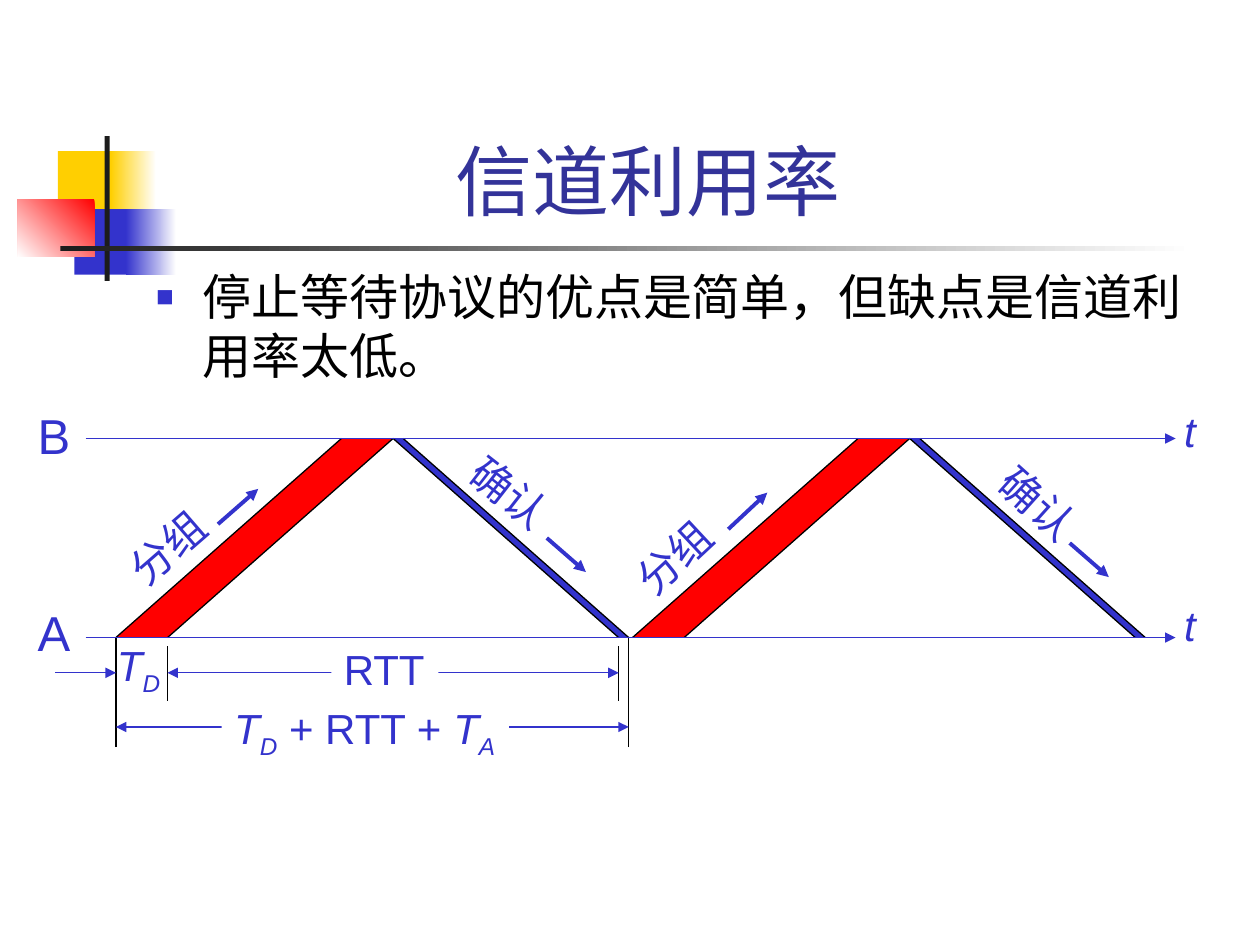
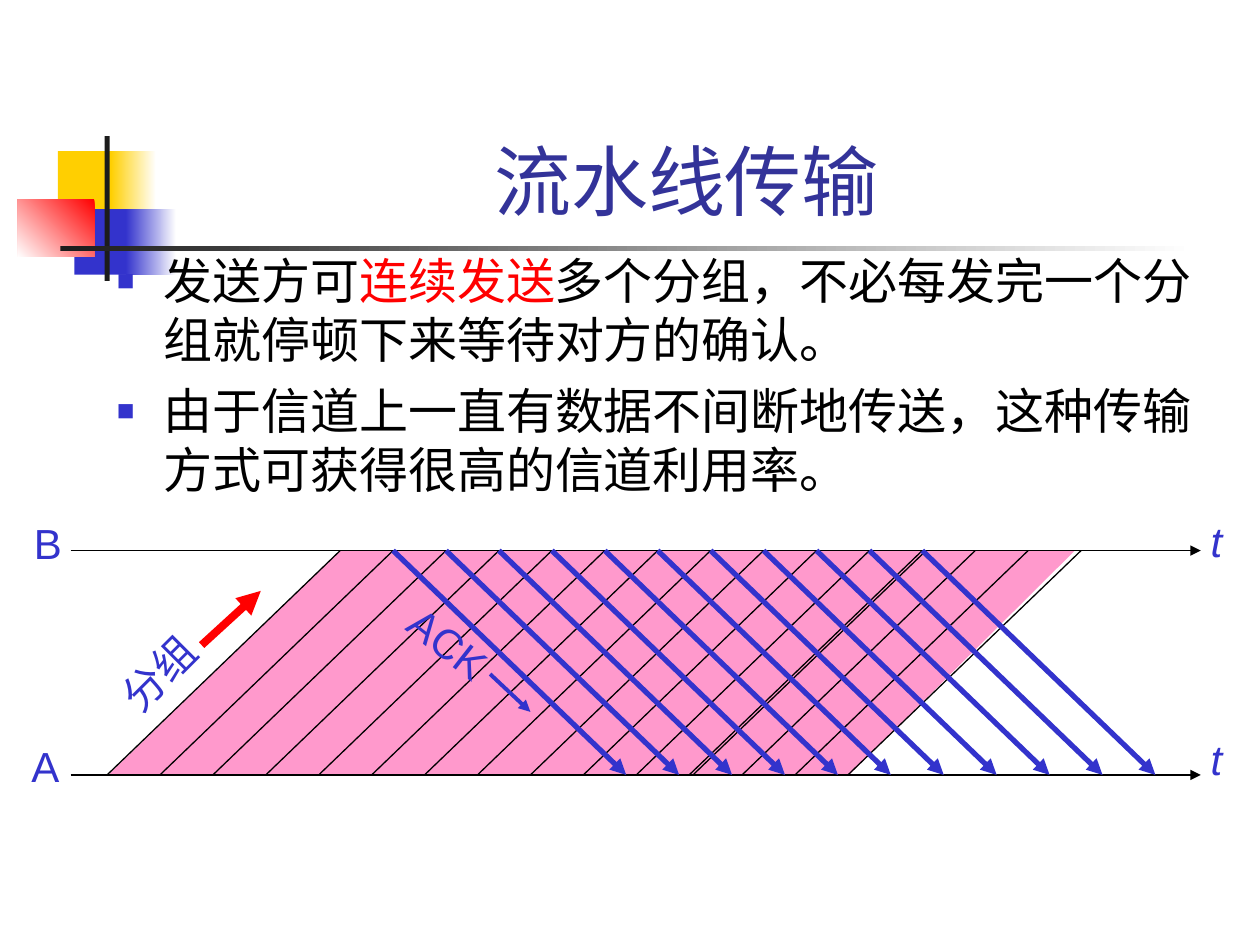
"""Build two slides on stop-and-wait channel utilisation and pipelined transmission."""
from lxml.etree import SubElement
from pptx import Presentation
from pptx.dml.color import RGBColor
from pptx.enum.shapes import MSO_CONNECTOR, MSO_SHAPE
from pptx.enum.text import MSO_ANCHOR, MSO_AUTO_SIZE, PP_ALIGN
from pptx.oxml.ns import qn
from pptx.util import Inches, Pt

FONT = "Arial"
BLUE, NAVY, RED, PINK = "3333CC", "333399", "FF0000", "FF99CC"
BLACK, WHITE, YELLOW, DARK = "000000", "FFFFFF", "FFCF01", "1C1C1C"
TITLE_ONLY = 5


def rgb(value):
    return RGBColor.from_string(value)


def add_run(p, text, size=24, color=BLUE, italic=False, sub=False):
    r = p.add_run()
    r.text = text
    r.font.name = FONT
    r.font.size = Pt(size)
    r.font.italic = italic
    r.font.color.rgb = rgb(color)
    if sub:
        r._r.get_or_add_rPr().set("baseline", "-25000")


class Deck:
    def __init__(self):
        self.prs = Presentation()
        self.prs.slide_width, self.prs.slide_height = Inches(10), Inches(7.5)
        self.s = None

    def add_slide(self, title, width):
        self.s = self.prs.slides.add_slide(self.prs.slide_layouts[TITLE_ONLY])
        sp = self.s.shapes.title
        sp.left, sp.top, sp.width, sp.height = (
            Inches(v) for v in (1.19, 0.24, width, 1.6))
        tf = sp.text_frame
        tf.auto_size = MSO_AUTO_SIZE.NONE
        tf.vertical_anchor = MSO_ANCHOR.BOTTOM
        tf.paragraphs[0].alignment = PP_ALIGN.CENTER
        add_run(tf.paragraphs[0], title, size=44, color=NAVY)
        self.motif()

    def motif(self):
        self.rect(0.46, 1.2, 0.48, 0.52, YELLOW)
        self.rect(0.88, 1.2, 0.36, 0.52, YELLOW, fade=0)
        self.rect(0.59, 1.66, 0.46, 0.52, BLUE)
        self.rect(1, 1.66, 0.4, 0.52, BLUE, fade=0)
        self.rect(0.14, 1.58, 0.61, 0.46, RED, fade=225)
        self.rect(0.83, 1.08, 0.04, 1.15, DARK)
        self.rect(0.48, 1.95, 9, 0.04, DARK, fade=0)

    def rect(self, x, y, w, h, color, fade=None):
        sp = self.s.shapes.add_shape(
            MSO_SHAPE.RECTANGLE, Inches(x), Inches(y), Inches(w), Inches(h))
        self.paint(sp, color)
        if fade is not None:
            sp.fill.gradient()
            sp.fill.gradient_angle = fade
            for stop, pos, c in zip(sp.fill.gradient_stops, (0, 1), (color, WHITE)):
                stop.position = pos
                stop.color.rgb = rgb(c)

    def paint(self, sp, color):
        sp.shadow.inherit = False
        sp.fill.solid()
        sp.fill.fore_color.rgb = rgb(color)
        sp.line.fill.background()

    def polygon(self, points, color):
        points = [(Inches(x), Inches(y)) for x, y in points]
        fb = self.s.shapes.build_freeform(*points[0])
        fb.add_line_segments(points[1:], close=True)
        self.paint(fb.convert_to_shape(), color)

    def line(self, start, end, color=BLACK, width=0.75, head=False, tail=False):
        cx = self.s.shapes.add_connector(
            MSO_CONNECTOR.STRAIGHT, *(Inches(v) for v in (*start, *end)))
        cx.line.color.rgb = rgb(color)
        cx.line.width = Pt(width)
        ln = cx.line._get_or_add_ln()
        for tag, wanted in (("a:headEnd", head), ("a:tailEnd", tail)):
            if wanted:
                SubElement(ln, qn(tag)).set("type", "triangle")
        SubElement(cx._element.spPr, qn("a:effectLst"))

    def label(self, x, y, w, h, *runs, fill=None, **fmt):
        sp = self.s.shapes.add_textbox(Inches(x), Inches(y), Inches(w), Inches(h))
        if fill:
            sp.fill.solid()
            sp.fill.fore_color.rgb = rgb(fill)
        tf = sp.text_frame
        tf.word_wrap = False
        tf.auto_size = MSO_AUTO_SIZE.SHAPE_TO_FIT_TEXT
        for text, extra in runs:
            add_run(tf.paragraphs[0], text, **{**fmt, **extra})
        return sp

    def tilted_label(self, x, y, text, rot):
        sp = self.label(x, y, 0.86, 0.5, (text, {}))
        sp.rotation = rot
        tf = sp.text_frame
        tf.auto_size = MSO_AUTO_SIZE.NONE
        tf.word_wrap = True
        tf.margin_left = tf.margin_right = 0
        tf.paragraphs[0].alignment = PP_ALIGN.CENTER

    def bullets(self, x, y, w, h, *items):
        sp = self.s.shapes.add_textbox(Inches(x), Inches(y), Inches(w), Inches(h))
        tf = sp.text_frame
        tf.word_wrap = True
        for i, runs in enumerate(items):
            p = tf.add_paragraph() if i else tf.paragraphs[0]
            pPr = p._p.get_or_add_pPr()
            pPr.set("marL", str(Inches(0.37)))
            pPr.set("indent", str(-Inches(0.37)))
            SubElement(SubElement(pPr, qn("a:buClr")), qn("a:srgbClr")).set("val", BLUE)
            SubElement(pPr, qn("a:buSzPct")).set("val", "60000")
            SubElement(pPr, qn("a:buFont")).set("typeface", FONT)
            SubElement(pPr, qn("a:buChar")).set("char", "■")
            p.space_before = Pt(7 if i else 0)
            for text, color in runs:
                add_run(p, text, size=28, color=color)


ITALIC = {"italic": True}
SUBSCRIPT = {"italic": True, "sub": True}


def draw_cycle(deck, x, top, bottom):
    sent, echoed = x + 1.79, x + 2.2
    deck.polygon([(echoed, top), (x + 3.99, bottom), (x + 4.07, bottom),
                  (x + 2.28, top)], BLUE)
    deck.polygon([(x, bottom), (sent, top), (echoed, top), (x + 0.41, bottom)], RED)
    for foot, peak in ((0, 1.79), (0.41, 2.2), (3.99, 2.2), (4.07, 2.28)):
        deck.line((x + foot, bottom), (x + peak, top))


def utilisation_slide(deck):
    top, bottom = 3.48, 5.06
    deck.add_slide("信道利用率", 7.91)
    deck.bullets(1.14, 2.07, 8.5, 1.34,
                 [("停止等待协议的优点是简单，但缺点是信道利用率太低。", BLACK)])
    deck.label(0.83, 5.03, 0.54, 0.56, ("T", ITALIC), ("D", SUBSCRIPT))
    for x in (0.92, 4.99):
        deck.line((x, 5.93), (x, bottom))
    for x in (1.33, 4.91):
        deck.line((x, 5.13), (x, 5.56))
    deck.line((1.33, 5.34), (4.91, 5.34), BLUE, head=True, tail=True)
    deck.label(2.63, 5.06, 0.85, 0.5, ("RTT", {}), fill=WHITE)
    deck.line((0.44, 5.34), (0.92, 5.34), BLUE, tail=True)
    deck.line((0.92, 5.77), (4.99, 5.77), BLUE, head=True, tail=True)
    deck.label(1.76, 5.53, 2.28, 0.56, ("T", ITALIC), ("D", SUBSCRIPT),
               (" + RTT + ", {}), ("T", ITALIC), ("A", SUBSCRIPT), fill=WHITE)
    for x in (0.92, 5.02):
        draw_cycle(deck, x, top, bottom)
    for text, x, y, rot in (("分组", 0.9, 4.09, 319), ("确认", 3.62, 3.66, 38),
                            ("分组", 4.92, 4.17, 317), ("确认", 7.81, 3.74, 42)):
        deck.tilted_label(x, y, text, rot)
    for start, end in (((1.73, 4.16), (2.05, 3.88)), ((4.34, 4.27), (4.65, 4.54)),
                       ((5.78, 4.2), (6.09, 3.91)), ((8.49, 4.31), (8.8, 4.58))):
        deck.line(start, end, BLUE, 2.25, tail=True)
    for name, y, name_y, t_y in (("B", top, 3.17, 3.17), ("A", bottom, 4.73, 4.71)):
        deck.line((0.68, y), (9.33, y), BLUE, tail=True)
        deck.label(0.2, name_y, 0.46, 0.57, (name, {}), size=28)
        deck.label(9.3, t_y, 0.29, 0.5, ("t", ITALIC))


def pipeline_slide(deck):
    top, bottom, step, run = 4.37, 6.15, 0.42, 1.85
    deck.add_slide("流水线传输", 8.52)
    deck.bullets(0.83, 1.94, 8.81, 2.28,
                 [("发送方可", BLACK), ("连续发送", RED),
                  ("多个分组，不必每发完一个分组就停顿下来等待对方的确认。", BLACK)],
                 [("由于信道上一直有数据不间断地传送，这种传输方式可获得很高的信道利用率。",
                   BLACK)])
    deck.polygon([(0.86, bottom), (2.7, top), (8.53, top), (6.74, bottom)], PINK)
    for name, x, y, name_y, t_y in (("B", 0.17, top, 4.06, 4.04),
                                    ("A", 0.15, bottom, 5.83, 5.77)):
        deck.line((0.56, y), (9.53, y), tail=True)
        deck.label(x, name_y, 0.42, 0.5, (name, {}))
        deck.label(9.51, t_y, 0.29, 0.5, ("t", ITALIC))
    for x in [0.85 + step * i for i in range(15)] + [5.5]:
        deck.line((x, bottom), (x + run, top))
    for i in range(11):
        x = 3.12 + step * i
        deck.line((x, top), (x + run, bottom), BLUE, 3, tail=True)
    deck.tilted_label(0.83, 5.09, "分组", 315)
    deck.line((1.6, 5.12), (2.07, 4.69), RED, 4.5, tail=True)
    deck.tilted_label(3.13, 4.85, "ACK", 38)
    deck.line((3.89, 5.35), (4.21, 5.65), BLUE, 2.25, tail=True)


def main():
    deck = Deck()
    utilisation_slide(deck)
    pipeline_slide(deck)
    deck.prs.save("out.pptx")


if __name__ == "__main__":
    main()
